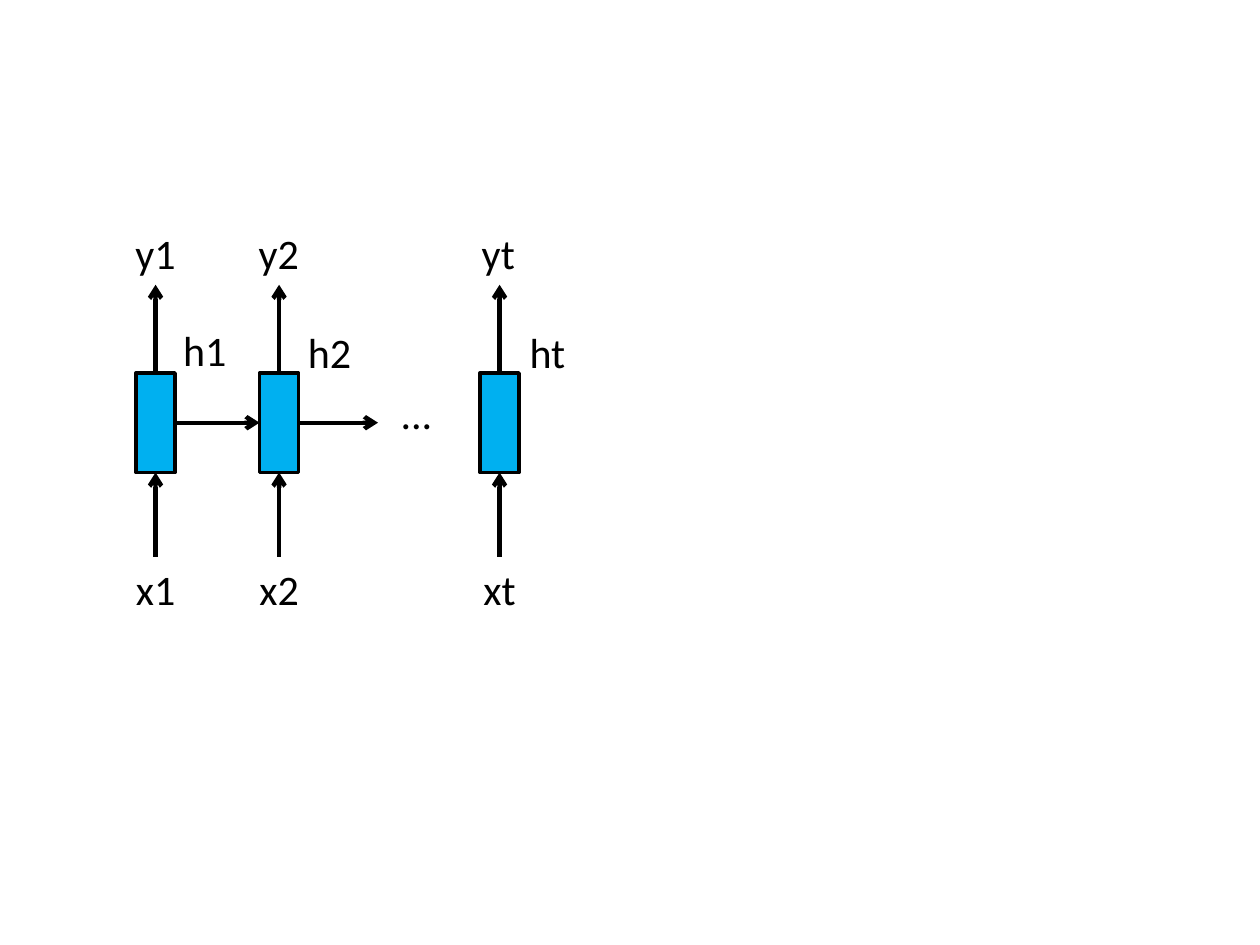
from lxml import etree
from pptx import Presentation
from pptx import util as u
from pptx.dml.color import RGBColor
from pptx.enum import shapes, text
from pptx.oxml.ns import qn

BLACK = RGBColor(0x00, 0x00, 0x00)
CELL_BLUE = RGBColor(0x00, 0xB0, 0xF0)

CELL_TOP, CELL_WIDTH, CELL_HEIGHT = 2.96, 0.31, 0.79
OUTPUT_TOP, OUTPUT_END = 1.76, 2.26
INPUT_TOP = 4.42
LABEL_HEIGHT = 0.5
TOP, LEFT, BOTTOM, RIGHT = range(4)

STEPS = [
    {"name": "1", "left": 1.08, "label_width": 0.52, "state": (1.35, 2.53, 0.55)},
    {"name": "2", "left": 2.06, "label_width": 0.52, "state": (2.34, 2.54, 0.55)},
    {"name": "t", "left": 3.81, "label_width": 0.48, "state": (4.1, 2.54, 0.49)},
]


class Diagram:
    font = {"name": "Calibri", "size": u.Pt(24)}
    frame = {"word_wrap": False, "auto_size": text.MSO_AUTO_SIZE.SHAPE_TO_FIT_TEXT}

    def __init__(self, page):
        self.page = page

    def apply(self, target, values):
        for name, value in values.items():
            setattr(target, name, value)

    def label(self, words, left, top, width, align=text.PP_ALIGN.CENTER):
        box = self.page.shapes.add_textbox(*map(u.Inches, (left, top, width, LABEL_HEIGHT)))
        self.apply(box.text_frame, self.frame)
        para = box.text_frame.paragraphs[0]
        para.alignment = align
        span = para.add_run()
        span.text = words
        self.apply(span.font, self.font)
        span.font.color.rgb = BLACK

    def cell(self, left):
        box = self.page.shapes.add_shape(
            shapes.MSO_SHAPE.RECTANGLE,
            *map(u.Inches, (left, CELL_TOP, CELL_WIDTH, CELL_HEIGHT)))
        box.shadow.inherit = False
        box.fill.solid()
        box.fill.fore_color.rgb = CELL_BLUE
        box.line.color.rgb = BLACK
        box.line.width = u.Pt(2)
        return box

    def arrow(self, start, end, source=None, target=None):
        line = self.page.shapes.add_connector(
            shapes.MSO_CONNECTOR.STRAIGHT, *map(u.Inches, start + end))
        line.line.color.rgb = BLACK
        line.line.width = u.Pt(2.5)
        etree.SubElement(line.line._get_or_add_ln(), qn("a:tailEnd"), type="arrow")
        etree.SubElement(line._element.spPr, qn("a:effectLst"))
        if source:
            line.begin_connect(*source)
        if target:
            line.end_connect(*target)

    def step(self, name, left, label_width, state):
        center = left + CELL_WIDTH / 2
        label_left = center - label_width / 2
        bottom = CELL_TOP + CELL_HEIGHT
        box = self.cell(left)
        self.arrow((center, CELL_TOP), (center, OUTPUT_END), source=(box, TOP))
        self.arrow((center, INPUT_TOP), (center, bottom), target=(box, BOTTOM))
        self.label("x" + name, label_left, INPUT_TOP, label_width)
        self.label("y" + name, label_left, OUTPUT_TOP, label_width, text.PP_ALIGN.LEFT)
        self.label("h" + name, *state)
        return box


def main():
    deck = Presentation()
    deck.slide_width, deck.slide_height = u.Inches(10), u.Inches(7.5)
    diagram = Diagram(deck.slides.add_slide(deck.slide_layouts[6]))
    first, second, _ = [diagram.step(**step) for step in STEPS]
    middle = CELL_TOP + CELL_HEIGHT / 2
    diagram.arrow((1.39, middle), (2.06, middle), (first, RIGHT), (second, LEFT))
    diagram.arrow((2.37, middle), (3, middle), (second, RIGHT))
    diagram.label("...", 3.08, 3.03, 0.45)
    deck.save("out.pptx")


if __name__ == "__main__":
    main()
